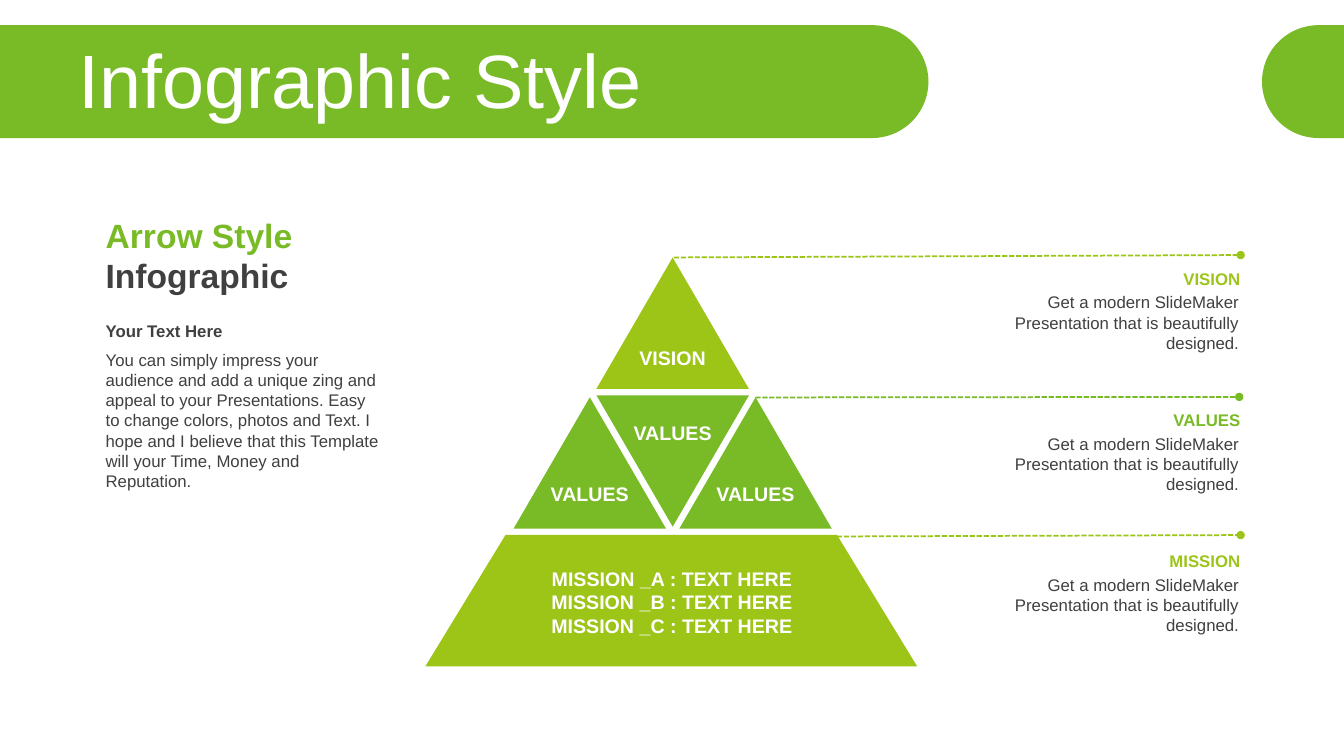
import math
from lxml import etree
from pptx import Presentation
from pptx import util as u
from pptx.dml import color as dml
from pptx.enum import dml as line_styles, shapes, text
from pptx.oxml import ns

COLORS = {"green": "79BA27", "lime": "9DC518", "dark": "404040", "white": "FFFFFF"}
FONT = "Arial"
TITLE = "Infographic Style"
BLURB = "Get a modern SlideMaker Presentation that is beautifully designed."
HEADING = [("Arrow Style ", "green"), ("Infographic", "dark")]
SUBHEADING = "Your Text Here"
INTRO = (
    "You can simply impress your audience and add a unique zing and appeal to your "
    "Presentations. Easy to change colors, photos and Text. I hope and I believe that "
    "this Template will your Time, Money and Reputation."
)
CALLOUTS = [
    ("VISION", "lime", (481.3, 183.9), (886.2, 182.2)),
    ("VALUES", "green", (539.5, 283.9), (885.2, 283.5)),
    ("MISSION", "lime", (597.8, 383.2), (886.2, 382.2)),
]
TRIANGLES = [
    ("VISION", "lime", 0, 183.9, 0, 247),
    ("VALUES", "green", 0, 282.4, 180, 301),
    ("VALUES", "green", 59.2, 283.8, 0, 344.4),
    ("VALUES", "green", -59.2, 283.8, 0, 344.4),
]
MISSIONS = [f"MISSION _{letter} : TEXT HERE" for letter in "ABC"]

SLIDE_W, SLIDE_H = 960, 540
BANNER_TOP, BANNER_RADIUS = 18, 40.3
PYRAMID_X = 480.5
TRIANGLE_W, TRIANGLE_H = 108.9, 93.8
LABEL_W = 79.2
BASE_TOP, BASE_W = 382.1, 351.2
CALLOUT_TOP, CALLOUT_STEP = 191.7, 100.8
CALLOUT_RIGHT = 886

deck = Presentation()
deck.slide_width, deck.slide_height = u.Pt(SLIDE_W), u.Pt(SLIDE_H)
page = deck.slides.add_slide(deck.slide_layouts[5])


def rgb(name):
    return dml.RGBColor.from_string(COLORS[name])


def paint(shape, color):
    shape.shadow.inherit = False
    shape.fill.solid()
    shape.fill.fore_color.rgb = rgb(color)
    shape.line.fill.background()


def add_span(para, words, size, color, bold=False):
    span = para.add_run()
    span.text = words
    span.font.name, span.font.size, span.font.bold = FONT, u.Pt(size), bold
    span.font.color.rgb = rgb(color)


def add_text(left, top, width, height, paras, size, align="LEFT", bold=False, inset=(0, 0)):
    box = page.shapes.add_textbox(*map(u.Pt, (left, top, width, height)))
    frame = box.text_frame
    frame.word_wrap = True
    frame.margin_left = frame.margin_right = u.Pt(inset[0])
    frame.margin_top = frame.margin_bottom = u.Pt(inset[1])
    for index, spans in enumerate(paras):
        para = frame.add_paragraph() if index else frame.paragraphs[0]
        para.alignment = text.PP_ALIGN[align]
        for words, color in spans:
            add_span(para, words, size, color, bold)


def add_banner(edge_x, cap_x):
    side = 1 if cap_x > edge_x else -1
    middle = BANNER_TOP + BANNER_RADIUS
    angles = [math.radians(degree) for degree in range(-90, 91, 3)]
    points = [
        (u.Pt(cap_x + side * BANNER_RADIUS * math.cos(angle)),
         u.Pt(middle + BANNER_RADIUS * math.sin(angle)))
        for angle in angles
    ]
    points.append((u.Pt(edge_x), u.Pt(middle + BANNER_RADIUS)))
    builder = page.shapes.build_freeform(u.Pt(edge_x), u.Pt(BANNER_TOP))
    builder.add_line_segments(points, close=True)
    paint(builder.convert_to_shape(), "green")


def add_leader(start, end, color):
    leader = page.shapes.add_connector(
        shapes.MSO_CONNECTOR.STRAIGHT, *map(u.Pt, (*start, *end)))
    leader.line.color.rgb = rgb(color)
    leader.line.width = u.Pt(1.25)
    leader.line.dash_style = line_styles.MSO_LINE.SQUARE_DOT
    outline = leader.line.fill and leader.element.spPr.find(ns.qn("a:ln"))
    etree.SubElement(outline, ns.qn("a:tailEnd"), type="oval")
    etree.SubElement(leader.element.spPr, ns.qn("a:effectLst"))


add_banner(0, 622.9)
add_banner(SLIDE_W, 941.8)

title = page.shapes.title
title.element.getparent().append(title.element)
title.left, title.top, title.width, title.height = map(u.Pt, (49, 31.7, 887.8, 56.9))
title.text_frame.auto_size = text.MSO_AUTO_SIZE.NONE
title.text_frame.vertical_anchor = text.MSO_ANCHOR.MIDDLE
title_para = title.text_frame.paragraphs[0]
title_para.alignment = text.PP_ALIGN.LEFT
title_para.line_spacing = 0.9
add_span(title_para, TITLE, 54, "white")

for label, color, offset, top, turn, label_top in TRIANGLES:
    center = PYRAMID_X + offset
    triangle = page.shapes.add_shape(
        shapes.MSO_SHAPE.ISOSCELES_TRIANGLE,
        *map(u.Pt, (center - TRIANGLE_W / 2, top, TRIANGLE_W, TRIANGLE_H)))
    triangle.rotation = turn
    paint(triangle, color)
    add_text(center - LABEL_W / 2, label_top, LABEL_W, 17, [[(label, "white")]],
             14, "CENTER", True)

base = page.shapes.add_shape(
    shapes.MSO_SHAPE.TRAPEZOID,
    *map(u.Pt, (PYRAMID_X - 1 - BASE_W / 2, BASE_TOP, BASE_W, TRIANGLE_H)))
base.adjustments[0] = 0.61
paint(base, "lime")
add_text(366.6, 404.9, 226.8, 51, [[(line, "white")] for line in MISSIONS],
         14, "CENTER", True)

for row, (label, color, start, end) in enumerate(CALLOUTS):
    top = CALLOUT_TOP + row * CALLOUT_STEP
    add_leader(start, end, color)
    add_text(CALLOUT_RIGHT - 205, top, 205, 14.5, [[(label, color)]], 12, "RIGHT", True)
    add_text(CALLOUT_RIGHT - 171, top + 17, 170, 43.6, [[(BLURB, "dark")]], 12, "RIGHT")

add_text(68.4, 149.8, 198.7, 65.4, [HEADING], 24, bold=True, inset=(7.2, 3.6))
add_text(68.4, 225.4, 213, 21.8, [[(SUBHEADING, "dark")]], 12, bold=True, inset=(7.2, 3.6))
add_text(68.4, 246.2, 213, 109, [[(INTRO, "dark")]], 12, inset=(7.2, 3.6))

deck.save("out.pptx")
